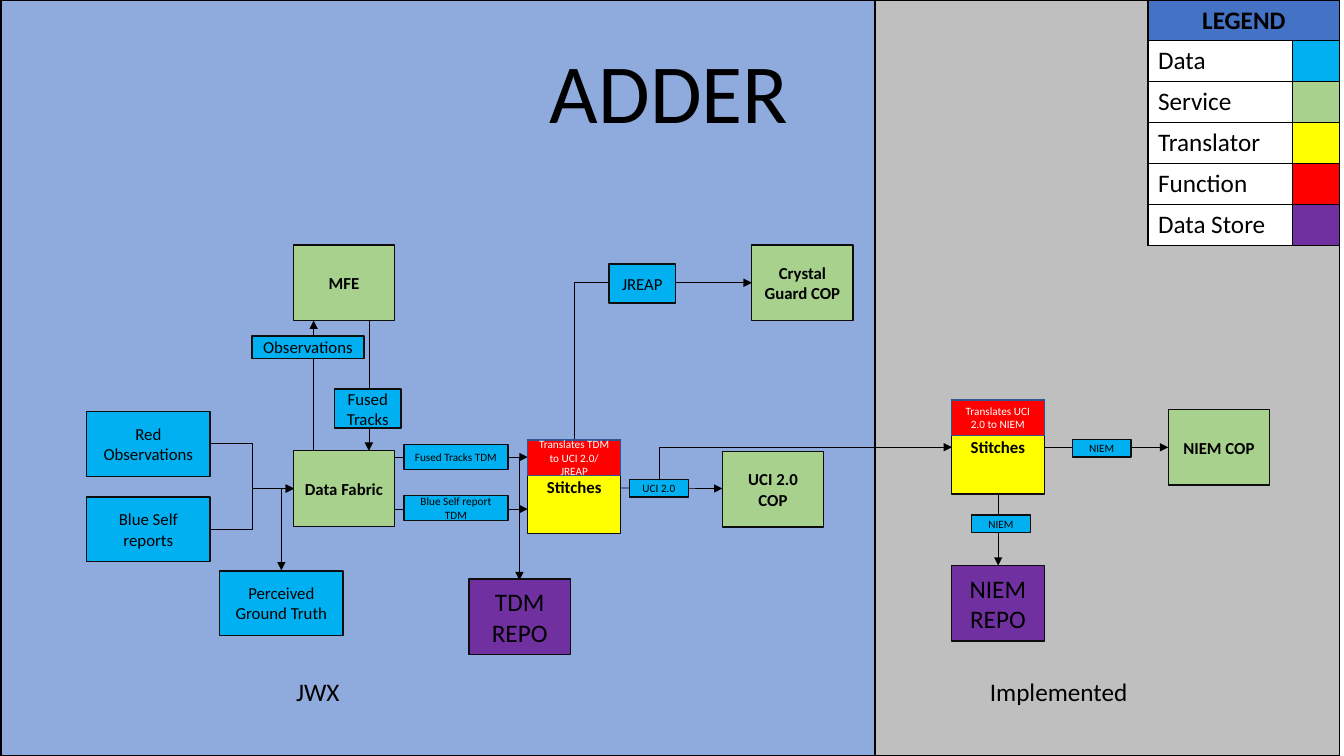
from lxml.etree import SubElement
from pptx import Presentation
from pptx.dml.color import RGBColor
from pptx.enum.shapes import MSO_CONNECTOR as CONN, MSO_SHAPE
from pptx.enum.text import MSO_ANCHOR as ANCHOR, PP_ALIGN as ALIGN
from pptx.oxml.ns import qn
from pptx.util import Pt

BLACK, WHITE, EDGE = "000000", "FFFFFF", "0D0D0D"
DATA, SERVICE, TRANSLATOR, FUNCTION, STORE = (
    "00B0F0", "A9D18E", "FFFF00", "FF0000", "7030A0")


def rgb(value):
    return RGBColor.from_string(value)


class Diagram:
    font = "Calibri"

    def __init__(self, prs):
        self.s = prs.slides.add_slide(prs.slide_layouts[5])

    def set_text(self, tf, text, size, color=BLACK, bold=False, align=ALIGN.CENTER):
        p = tf.paragraphs[0]
        p.text = text
        p.alignment = align
        for r in p.runs:
            r.font.name, r.font.size, r.font.bold = self.font, Pt(size), bold
            r.font.color.rgb = rgb(color)
        return p

    def title(self, text, x, y, w, h):
        sp = self.s.shapes.title
        sp.left, sp.top, sp.width, sp.height = Pt(x), Pt(y), Pt(w), Pt(h)
        sp.text_frame.vertical_anchor = ANCHOR.BOTTOM
        self.set_text(sp.text_frame, text, 60).line_spacing = 0.9
        # Bring the title in front of the panels
        self.s.shapes._spTree.append(sp._element)

    def box(self, x, y, w, h, fill, text="", size=12, color=BLACK,
            bold=False, edge=EDGE):
        sp = self.s.shapes.add_shape(MSO_SHAPE.RECTANGLE, Pt(x), Pt(y), Pt(w), Pt(h))
        sp.shadow.inherit = False
        sp.fill.solid()
        sp.fill.fore_color.rgb = rgb(fill)
        sp.line.color.rgb = rgb(edge)
        sp.line.width = Pt(1)
        if text:
            sp.text_frame.word_wrap = True
            sp.text_frame.vertical_anchor = ANCHOR.MIDDLE
            self.set_text(sp.text_frame, text, size, color, bold)

    def service(self, x, y, text):
        self.box(x, y, 72.4, 54, SERVICE, text, bold=True)

    def translator(self, x, y, job):
        self.box(x, y, 66.4, 67, TRANSLATOR, "Stitches", bold=True)
        self.box(x, y, 66.4, 25.2, FUNCTION, job, 8, WHITE, edge="325491")

    def label(self, x, y, w, h, text):
        self.box(x, y, w, h, DATA, text, 8)

    def caption(self, x, y, w, h, text):
        tf = self.s.shapes.add_textbox(Pt(x), Pt(y), Pt(w), Pt(h)).text_frame
        tf.word_wrap = True
        self.set_text(tf, text, 18, align=ALIGN.LEFT)

    def arrow(self, x1, y1, x2, y2, kind=CONN.STRAIGHT):
        c = self.s.shapes.add_connector(kind, Pt(x1), Pt(y1), Pt(x2), Pt(y2))
        c.line.color.rgb = rgb(BLACK)
        c.line.width = Pt(0.5)
        SubElement(c.line._get_or_add_ln(), qn("a:tailEnd"), type="triangle")
        SubElement(c._element.spPr, qn("a:effectLst"))
        return c

    def corner_arrow(self, x1, y1, x2, y2):
        """Arrow that goes up from the start, then right to the end."""
        cx, cy = (x1 + x2) / 2, (y1 + y2) / 2
        w, h = y1 - y2, x2 - x1
        c = self.arrow(cx + w / 2, cy + h / 2, cx - w / 2, cy - h / 2, CONN.ELBOW)
        spPr = c._element.spPr
        spPr.find(qn("a:prstGeom")).set("prst", "bentConnector2")
        spPr.find(qn("a:xfrm")).set("rot", "5400000")

    def cell(self, cell, fill):
        cell.fill.solid()
        cell.fill.fore_color.rgb = rgb(fill)
        tcPr = cell._tc.get_or_add_tcPr()
        for i, side in enumerate(("lnL", "lnR", "lnT", "lnB")):
            ln = SubElement(tcPr, qn(f"a:{side}"), w=str(Pt(1)))
            SubElement(SubElement(ln, qn("a:solidFill")), qn("a:srgbClr"), val=BLACK)
            tcPr.insert(i, ln)

    def legend(self, x, y, widths, row_h, heading, entries):
        rows = len(entries) + 1
        t = self.s.shapes.add_table(rows, 2, Pt(x), Pt(y), Pt(sum(widths)),
                                    Pt(rows * row_h)).table
        for col, w in zip(t.columns, widths):
            col.width = Pt(w)
        for row in t.rows:
            row.height = Pt(row_h)
        t.cell(0, 0).merge(t.cell(0, 1))
        self.set_text(t.cell(0, 0).text_frame, heading, 18, bold=True)
        for col in range(2):
            self.cell(t.cell(0, col), "4472C4")
        for i, (name, fill) in enumerate(entries, 1):
            self.set_text(t.cell(i, 0).text_frame, name, 18, align=ALIGN.LEFT)
            self.cell(t.cell(i, 0), WHITE)
            self.cell(t.cell(i, 1), fill)


def main():
    prs = Presentation()
    prs.slide_width, prs.slide_height = Pt(960), Pt(540)
    d = Diagram(prs)

    d.box(520.5, 0, 436.5, 540, "BFBFBF", edge=BLACK)
    d.box(0.7, 0, 624.3, 540, "8FAADC", edge=BLACK)
    d.title("ADDER", 64, 0, 828, 105)
    d.legend(820, 0, (103, 34), 29.2, "LEGEND", [
        ("Data", DATA), ("Service", SERVICE), ("Translator", TRANSLATOR),
        ("Function", FUNCTION), ("Data Store", STORE)])

    for ends in [
            (224, 322, 224, 229), (201, 348.5, 201, 407.5),
            (263.5, 229, 263.5, 322), (282, 326.5, 377, 326.5),
            (282, 363.6, 377, 363.6), (371, 326.5, 371, 414.5),
            (443.5, 348.5, 516, 349), (713, 353, 713, 404),
            (746, 319.5, 834.5, 319.5)]:
        d.arrow(*ends)
    for y in (316.8, 378):
        d.arrow(150.5, y, 210, 349, CONN.ELBOW)
    d.corner_arrow(410.5, 314, 537, 202)
    d.corner_arrow(471, 342.7, 680, 319.5)

    for x, y, text in [
            (209.5, 322, "Data Fabric"), (209.5, 175, "MFE"),
            (537, 175, "Crystal Guard COP"), (516, 322.5, "UCI 2.0 COP"),
            (834.5, 292.5, "NIEM COP")]:
        d.service(x, y, text)
    d.translator(377, 314.3, "Translates TDM to UCI 2.0/ JREAP")
    d.translator(679.6, 285.8, "Translates UCI 2.0 to NIEM")

    for x, y, w, h, text in [
            (62, 293.8, 88, 46.5, "Red Observations"),
            (62, 355, 88, 46, "Blue Self reports"),
            (157, 407.8, 88, 46, "Perceived Ground Truth"),
            (180, 240, 80, 16, "Observations"),
            (239, 277.8, 47.5, 28, "Fused Tracks"),
            (435, 188.5, 47.5, 28, "JREAP")]:
        d.box(x, y, w, h, DATA, text)
    for x, y, w, h, text in [
            (288.6, 317.5, 74.2, 18, "Fused Tracks TDM"),
            (288.6, 354, 74.2, 18, "Blue Self report TDM"),
            (449.7, 342.5, 42, 12.4, "UCI 2.0"),
            (766, 314, 42, 12.4, "NIEM"),
            (694, 368, 42, 12.4, "NIEM")]:
        d.label(x, y, w, h, text)

    d.box(335, 413.6, 72.4, 54, STORE, "TDM REPO", 18)
    d.box(679.6, 404, 66.4, 54, STORE, "NIEM REPO", 18)
    d.caption(204.5, 479.5, 46, 29, "JWX")
    d.caption(700, 479.5, 114, 29, "Implemented")
    prs.save("out.pptx")


if __name__ == "__main__":
    main()
